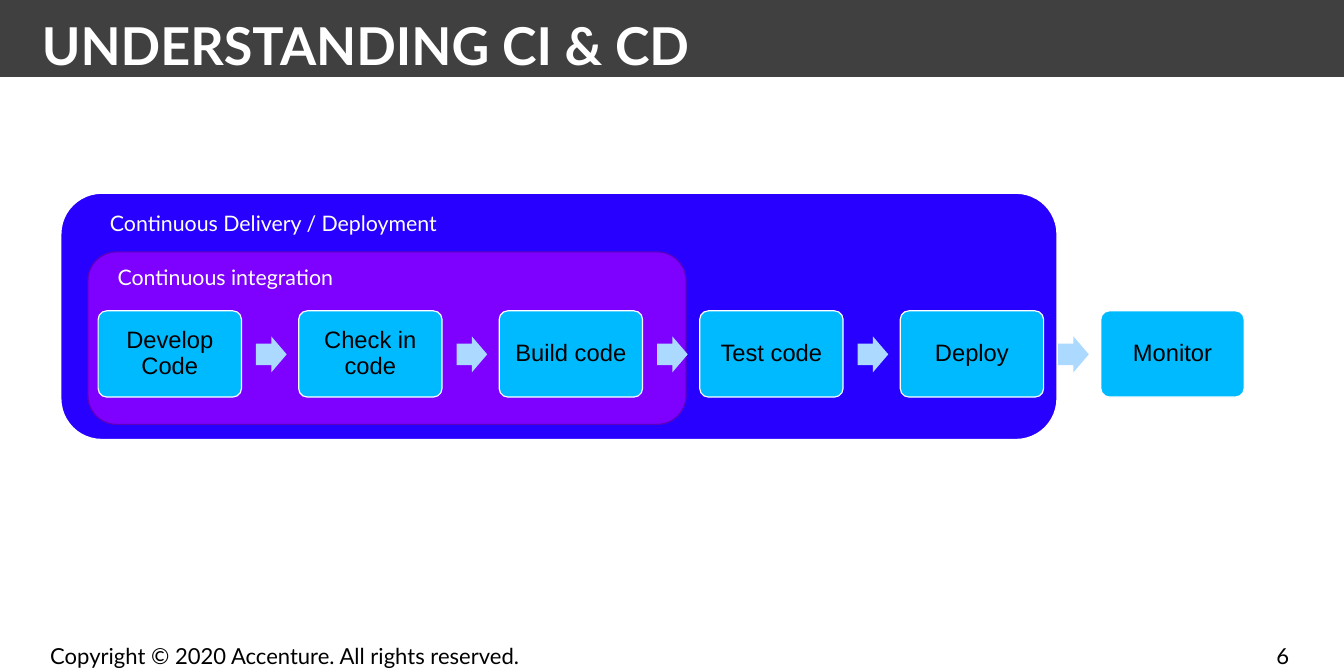
from pptx import Presentation
from pptx.dml.color import RGBColor
from pptx.enum.shapes import MSO_SHAPE
from pptx.enum.text import MSO_ANCHOR, MSO_AUTO_SIZE, PP_ALIGN
from pptx.util import Inches, Pt

RECT = MSO_SHAPE.RECTANGLE
ROUND = MSO_SHAPE.ROUNDED_RECTANGLE
ARROW = MSO_SHAPE.RIGHT_ARROW
TOP, MIDDLE = MSO_ANCHOR.TOP, MSO_ANCHOR.MIDDLE
LEFT, CENTER = PP_ALIGN.LEFT, PP_ALIGN.CENTER
NO_FIT = MSO_AUTO_SIZE.NONE

WHITE = RGBColor(0xFF, 0xFF, 0xFF)
BLACK = RGBColor(0, 0, 0)
GRAY = RGBColor(0x40, 0x40, 0x40)
BLUE = RGBColor(0x28, 0x00, 0xFF)
VIOLET = RGBColor(0x7E, 0x00, 0xFF)
PLUM = RGBColor(0x5D, 0x00, 0xBD)
CYAN = RGBColor(0x00, 0xBA, 0xFF)
PALE = RGBColor(0xAB, 0xD9, 0xFF)

STEPS = ["Develop Code", "Check in code", "Build code", "Test code", "Deploy", "Monitor"]
START, PITCH = 1.15, 2.35


class Deck:
    """Holds the style and the current slide."""

    head, body = "Lato", "Arial"

    def __init__(self, slide):
        self.slide = slide
        self.shapes = slide.shapes

    def fill_text(self, shape, text, size, color, font, bold=False,
                  align=LEFT, anchor=TOP, space=None, inset=(0.1, 0.05, 0.1, 0.05)):
        frame = shape.text_frame
        frame.text = text
        frame.word_wrap = True
        frame.auto_size = NO_FIT
        frame.vertical_anchor = anchor
        (frame.margin_left, frame.margin_top,
         frame.margin_right, frame.margin_bottom) = map(Inches, inset)
        line = frame.paragraphs[0]
        line.alignment = align
        if space:
            line.line_spacing = space
        style = line.runs[0].font
        style.name, style.size, style.bold = font, Pt(size), bold
        style.color.rgb = color

    def title(self, text, *box):
        title = self.shapes.title
        title.left, title.top, title.width, title.height = map(Inches, box)
        self.fill_text(title, text, 44, WHITE, self.head, bold=True,
                       space=0.7, inset=(0, 0.05, 0, 0))

    def label(self, text, size, color, *box):
        label = self.shapes.add_textbox(*map(Inches, box))
        self.fill_text(label, text, size, color, self.head)

    def block(self, kind, fill, *box, edge=None, width=1, adjust=()):
        block = self.shapes.add_shape(kind, *map(Inches, box))
        block.shadow.inherit = False
        block.fill.solid()
        block.fill.fore_color.rgb = fill
        if edge is None:
            block.line.fill.background()
        else:
            block.line.color.rgb = edge
            block.line.width = Pt(width)
        for index, value in enumerate(adjust):
            block.adjustments[index] = value
        return block

    def step(self, text, left):
        step = self.block(ROUND, CYAN, left, 3.64, 1.68, 1.01, edge=WHITE, adjust=[0.1])
        self.fill_text(step, text, 20, BLACK, self.body, align=CENTER,
                       anchor=MIDDLE, space=0.9, inset=[0.11] * 4)


def main():
    prs = Presentation()
    prs.slide_width, prs.slide_height = Inches(15.75), Inches(7.87)
    deck = Deck(prs.slides.add_slide(prs.slide_layouts[5]))

    # Header: the bar lies behind the title
    deck.title("UNDERSTANDING CI & CD", 0.49, 0.31, 14.76, 1.49)
    bar = deck.block(RECT, GRAY, 0, 0, 15.75, 0.9)
    deck.shapes.title.element.addprevious(bar.element)

    # Nested scopes
    deck.block(ROUND, BLUE, 0.71, 2.26, 11.68, 2.89, edge=WHITE, width=1.5)
    deck.block(ROUND, VIOLET, 1.03, 2.95, 7.01, 2.02, edge=PLUM)
    deck.label("Continuous Delivery / Deployment", 18, WHITE, 1.19, 2.41, 4.34, 0.4)
    deck.label("Continuous integration", 18, WHITE, 1.28, 3.05, 2.99, 0.4)

    # Pipeline with an arrow between neighbours
    for index, text in enumerate(STEPS):
        left = START + index * PITCH
        deck.step(text, left)
        if index < len(STEPS) - 1:
            deck.block(ARROW, PALE, left + 1.85, 3.94, 0.36, 0.42, adjust=[0.6, 0.5])

    # Footer
    deck.label("Copyright © 2020 Accenture. All rights reserved.", 18.6, BLACK,
               0.49, 7.48, 7.38, 0.24)
    deck.label("6", 18.6, BLACK, 14.86, 7.48, 0.39, 0.24)

    prs.save("out.pptx")


if __name__ == "__main__":
    main()
